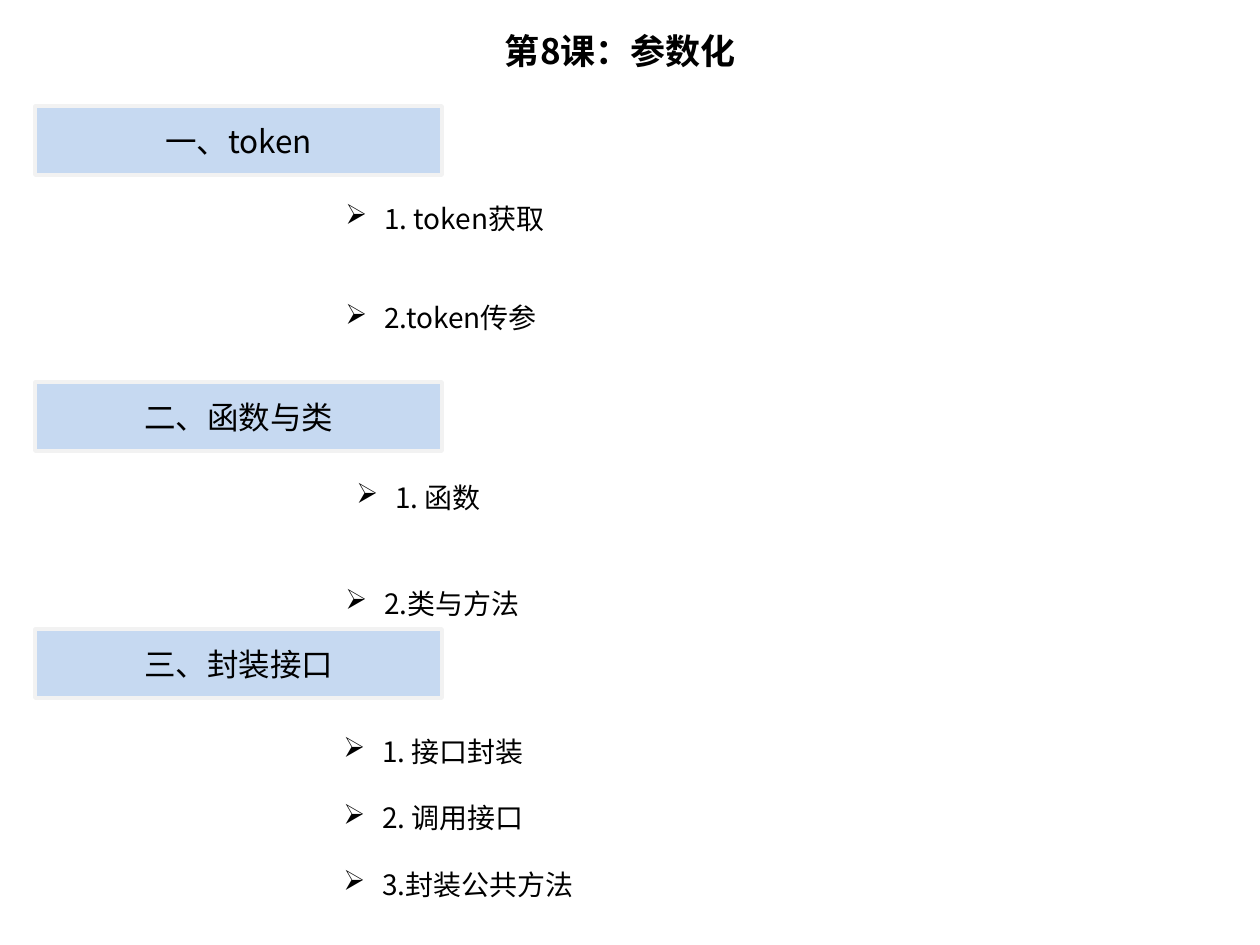
import pptx
import pptx.util
import pptx.dml.color
import pptx.enum.shapes
import pptx.enum.text
import pptx.oxml.ns
import lxml.etree

FONT = "Noto Sans CJK SC"
TITLE = ("第8课：参数化", (44, 16, 1153, 69))
BAR_LEFT, BAR_WIDTH, BAR_HEIGHT = 35, 407, 69
SECTIONS = [("一、token", 106), ("二、函数与类", 382), ("三、封装接口", 629)]
LISTS = [
    (["1. token获取", "2.token传参"], (333, 195, 495, 149), 66),
    (["1. 函数"], (344, 474, 495, 47), 0),
    (["2.类与方法"], (333, 580, 417, 47), 0),
    (["1. 接口封装", "2. 调用接口", "3.封装公共方法"], (331, 728, 495, 217), 33),
]
INDENT = 39

Align = pptx.enum.text.PP_ALIGN
Anchor = pptx.enum.text.MSO_ANCHOR


def px(n):
    return pptx.util.Emu(n * 914400 // 126)


def color(value):
    return pptx.dml.color.RGBColor.from_string(value)


def add_text(p, text, **formats):
    r = p.add_run()
    r.text = text
    for name, value in {"name": FONT, **formats}.items():
        setattr(r.font, name, value)
    r.font.color.rgb = color("000000")
    ea = lxml.etree.SubElement(r.font._element, pptx.oxml.ns.qn("a:ea"))
    ea.set("typeface", FONT)


def add_box(s, box):
    sp = s.shapes.add_textbox(*map(px, box))
    sp.text_frame.word_wrap = True
    return sp.text_frame


def add_title(s, text, box):
    tf = add_box(s, box)
    tf.vertical_anchor = Anchor.MIDDLE
    p = tf.paragraphs[0]
    p.alignment = Align.CENTER
    add_text(p, text, size=pptx.util.Pt(20), bold=True)


def add_section(s, text, top):
    sp = s.shapes.add_shape(
        pptx.enum.shapes.MSO_SHAPE.RECTANGLE,
        *map(px, (BAR_LEFT, top, BAR_WIDTH, BAR_HEIGHT)))
    sp.shadow.inherit = False
    sp.fill.solid()
    sp.fill.fore_color.rgb = color("C6D9F1")
    sp.line.color.rgb = color("F2F2F2")
    sp.line.width = pptx.util.Pt(2)
    tf = sp.text_frame
    tf.vertical_anchor = Anchor.MIDDLE
    p = tf.paragraphs[0]
    p.alignment = Align.CENTER
    add_text(p, text, size=pptx.util.Pt(18))


def add_list(s, items, box, gap):
    tf = add_box(s, box)
    for i, item in enumerate(items):
        p = tf.add_paragraph() if i else tf.paragraphs[0]
        if i:
            p.space_before = px(gap)
        pPr = p._p.get_or_add_pPr()
        pPr.set("marL", str(px(INDENT)))
        pPr.set("indent", str(-px(INDENT)))
        bullet = lxml.etree.SubElement(pPr, pptx.oxml.ns.qn("a:buChar"))
        bullet.set("char", "➢")
        add_text(p, item, size=pptx.util.Pt(16))


def main():
    prs = pptx.Presentation()
    prs.slide_width, prs.slide_height = px(1260), px(945)
    s = prs.slides.add_slide(prs.slide_layouts[6])
    add_title(s, *TITLE)
    for section in SECTIONS:
        add_section(s, *section)
    for entry in LISTS:
        add_list(s, *entry)
    prs.save("out.pptx")


if __name__ == "__main__":
    main()
